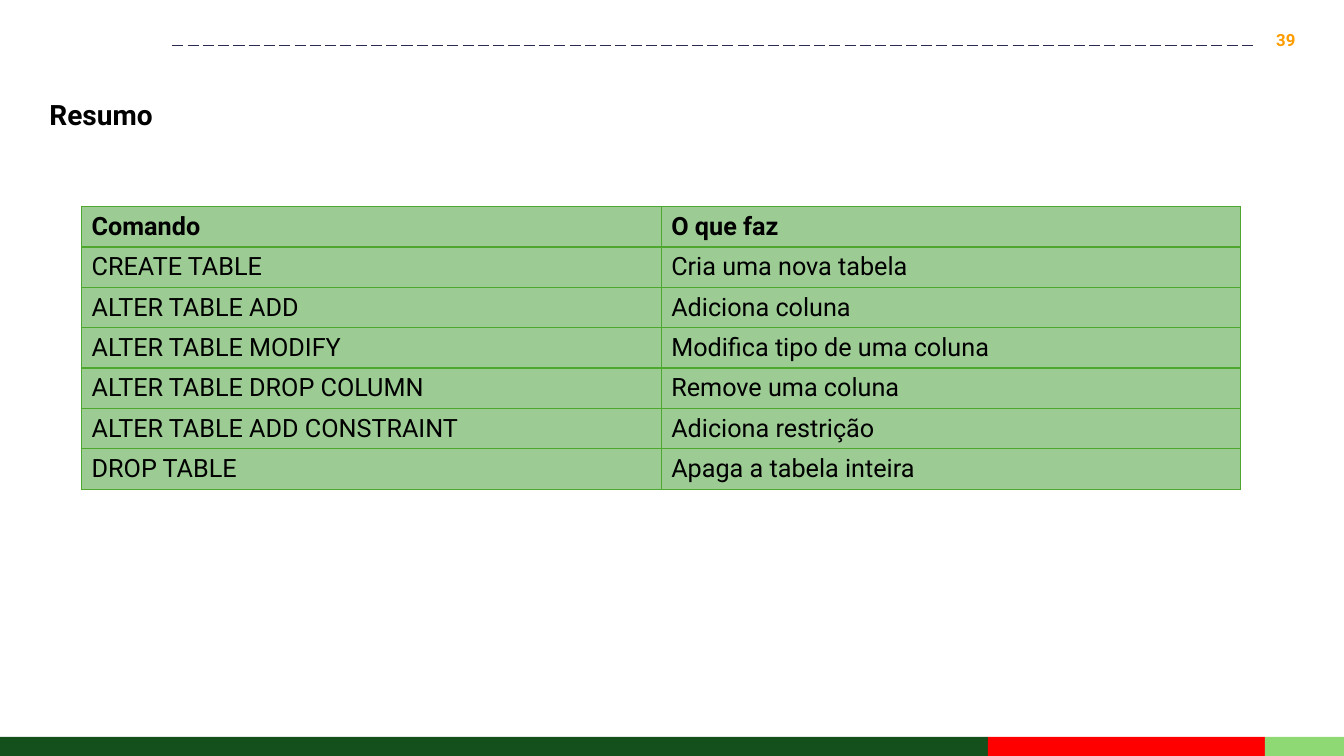
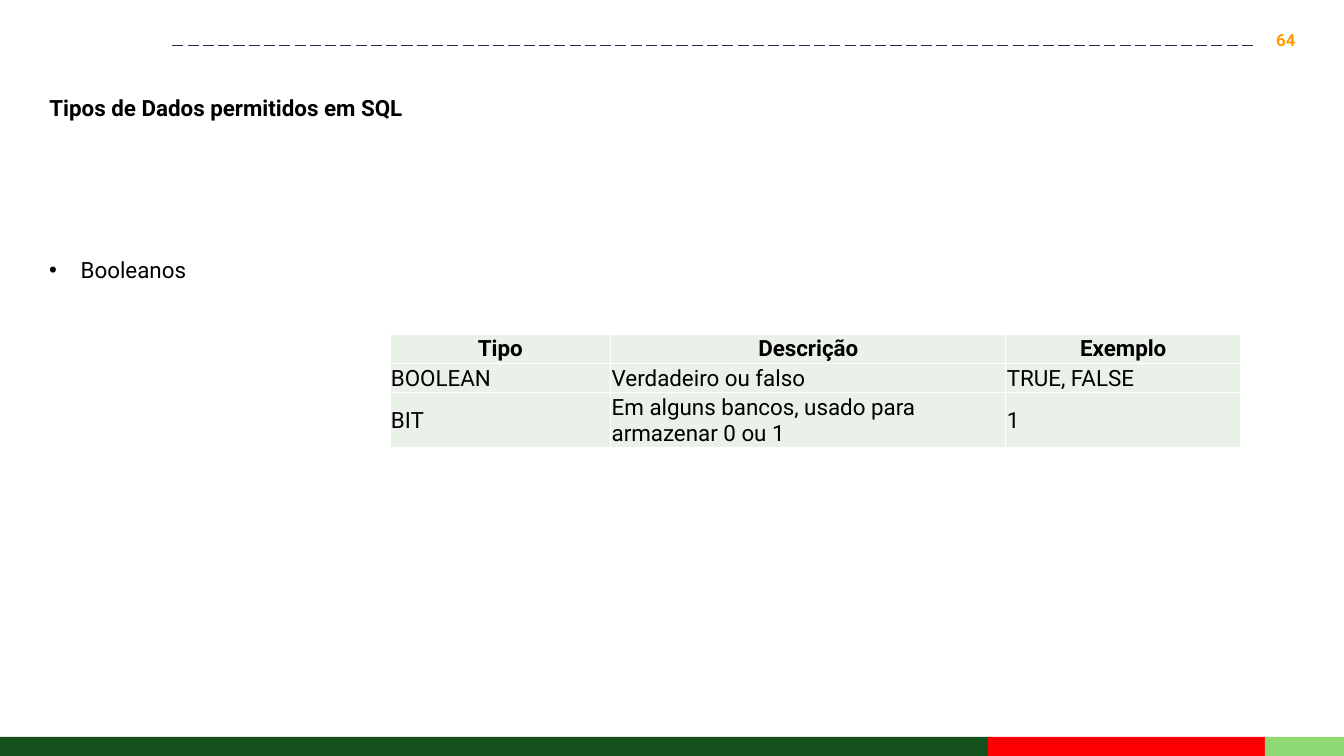
from lxml.etree import SubElement
from pptx import Presentation
from pptx.dml.color import RGBColor
from pptx.enum.dml import MSO_LINE
from pptx.enum.shapes import MSO_CONNECTOR, MSO_SHAPE
from pptx.enum.text import MSO_ANCHOR, MSO_AUTO_SIZE, PP_ALIGN
from pptx.oxml.ns import qn
from pptx.util import Pt

COLORS = {
    "text": "000000",
    "number": "FF9C00",
    "rule": "292B51",
    "dark_green": "13501B",
    "red": "FF0000",
    "light_green": "8ED973",
    "summary_fill": "9CCB93",
    "summary_border": "4EA72E",
    "types_fill": "E9F1E8",
    "types_border": "FFFFFF",
}
FONT = "Roboto"
BANDS = [("dark_green", 705.6), ("red", 198), ("light_green", 56.4)]
BAND_TOP, BAND_HEIGHT = 526.4, 13.6
TEXT_LEFT = 28.1

PAGES = [
    {
        "number": "39",
        "title": "Resumo",
        "title_size": 20,
        "title_height": 40.3,
        "table": {
            "left": 58.3, "top": 147.6,
            "columns": [414, 414],
            "heights": [28.8] * 7,
            "size": 18,
            "fill": "summary_fill",
            "border": "summary_border",
            "margins": (7.2, 3.6, 7.2, 3.6),
            "header_align": PP_ALIGN.LEFT,
            "rows": [
                ("Comando", "O que faz"),
                ("CREATE TABLE", "Cria uma nova tabela"),
                ("ALTER TABLE ADD", "Adiciona coluna"),
                ("ALTER TABLE MODIFY", "Modifica tipo de uma coluna"),
                ("ALTER TABLE DROP COLUMN", "Remove uma coluna"),
                ("ALTER TABLE ADD CONSTRAINT", "Adiciona restrição"),
                ("DROP TABLE", "Apaga a tabela inteira"),
            ],
        },
    },
    {
        "number": "64",
        "title": "Tipos de Dados permitidos em SQL",
        "title_size": 16,
        "title_height": 33.1,
        "bullet": "Booleanos",
        "table": {
            "left": 278.6, "top": 238.6,
            "columns": [157.7, 282.2, 167.8],
            "heights": [20.9, 20.9, 39.2],
            "size": 16,
            "fill": "types_fill",
            "border": "types_border",
            "margins": (0.7, 0.7, 0.7, 0),
            "header_align": PP_ALIGN.CENTER,
            "rows": [
                ("Tipo", "Descrição", "Exemplo"),
                ("BOOLEAN", "Verdadeiro ou falso", "TRUE, FALSE"),
                ("BIT", "Em alguns bancos, usado para armazenar 0 ou 1", "1"),
            ],
        },
    },
]


def add_run(paragraph, text, size, bold=False, color="text"):
    run = paragraph.add_run()
    run.text = text
    run.font.name = FONT
    run.font.size = Pt(size)
    run.font.bold = bold
    run.font.color.rgb = RGBColor.from_string(COLORS[color])


def style_cell(cell, table_spec):
    left, top, right, bottom = table_spec["margins"]
    cell.margin_left, cell.margin_top = Pt(left), Pt(top)
    cell.margin_right, cell.margin_bottom = Pt(right), Pt(bottom)
    cell.vertical_anchor = MSO_ANCHOR.MIDDLE
    properties = cell._tc.get_or_add_tcPr()
    for side in ("a:lnL", "a:lnR", "a:lnT", "a:lnB"):
        border = SubElement(properties, qn(side), w=str(Pt(1)))
        border_fill = SubElement(border, qn("a:solidFill"))
        SubElement(border_fill, qn("a:srgbClr"), val=COLORS[table_spec["border"]])
    cell.fill.solid()
    cell.fill.fore_color.rgb = RGBColor.from_string(COLORS[table_spec["fill"]])


presentation = Presentation()
presentation.slide_width, presentation.slide_height = Pt(960), Pt(540)

for page in PAGES:
    slide = presentation.slides.add_slide(presentation.slide_layouts[5])

    band_left = 0
    for color, width in BANDS:
        band = slide.shapes.add_shape(
            MSO_SHAPE.RECTANGLE, Pt(band_left), Pt(BAND_TOP), Pt(width), Pt(BAND_HEIGHT))
        band.shadow.inherit = False
        band.fill.solid()
        band.fill.fore_color.rgb = RGBColor.from_string(COLORS[color])
        band.line.fill.background()
        band_left += width

    page_number = slide.shapes.add_textbox(Pt(895.7), Pt(14.4), Pt(36.7), Pt(28.8)).text_frame
    page_number.word_wrap = True
    page_number.vertical_anchor = MSO_ANCHOR.MIDDLE
    page_number.paragraphs[0].alignment = PP_ALIGN.RIGHT
    add_run(page_number.paragraphs[0], page["number"], 12, True, "number")

    rule = slide.shapes.add_connector(
        MSO_CONNECTOR.STRAIGHT, Pt(123.1), Pt(32.4), Pt(895.7), Pt(32.4))
    rule.line.color.rgb = RGBColor.from_string(COLORS["rule"])
    rule.line.width = Pt(1)
    rule.line.dash_style = MSO_LINE.LONG_DASH
    SubElement(rule._element.spPr, qn("a:effectLst"))

    title = slide.shapes.title
    title.left, title.top = Pt(TEXT_LEFT), Pt(54)
    title.width, title.height = Pt(568.1), Pt(page["title_height"])
    title.text_frame.word_wrap = True
    title.text_frame.auto_size = MSO_AUTO_SIZE.SHAPE_TO_FIT_TEXT
    title.text_frame.vertical_anchor = MSO_ANCHOR.TOP
    heading = title.text_frame.paragraphs[0]
    heading.alignment = PP_ALIGN.LEFT
    heading.line_spacing = 1.5
    add_run(heading, page["title"], page["title_size"], True)

    if "bullet" in page:
        topic = slide.shapes.add_textbox(Pt(TEXT_LEFT), Pt(169.9), Pt(362.2), Pt(33.1)).text_frame
        topic.word_wrap = True
        topic.auto_size = MSO_AUTO_SIZE.SHAPE_TO_FIT_TEXT
        item = topic.paragraphs[0]
        item_properties = item._p.get_or_add_pPr()
        item_properties.set("marL", str(Pt(22.5)))
        item_properties.set("indent", str(Pt(-22.5)))
        SubElement(item_properties, qn("a:buFont"), typeface="Arial")
        SubElement(item_properties, qn("a:buChar"), char="•")
        item.line_spacing = 1.5
        add_run(item, page["bullet"], 16)

    spec = page["table"]
    table = slide.shapes.add_table(
        len(spec["rows"]), len(spec["columns"]), Pt(spec["left"]), Pt(spec["top"]),
        Pt(sum(spec["columns"])), Pt(sum(spec["heights"]))).table
    table.horz_banding = False
    for column, width in zip(table.columns, spec["columns"]):
        column.width = Pt(width)
    for row_index, (row, height, texts) in enumerate(
            zip(table.rows, spec["heights"], spec["rows"])):
        row.height = Pt(height)
        is_header = row_index == 0
        for cell, text in zip(row.cells, texts):
            style_cell(cell, spec)
            paragraph = cell.text_frame.paragraphs[0]
            paragraph.alignment = spec["header_align"] if is_header else PP_ALIGN.LEFT
            add_run(paragraph, text, spec["size"], is_header)

presentation.save("out.pptx")
